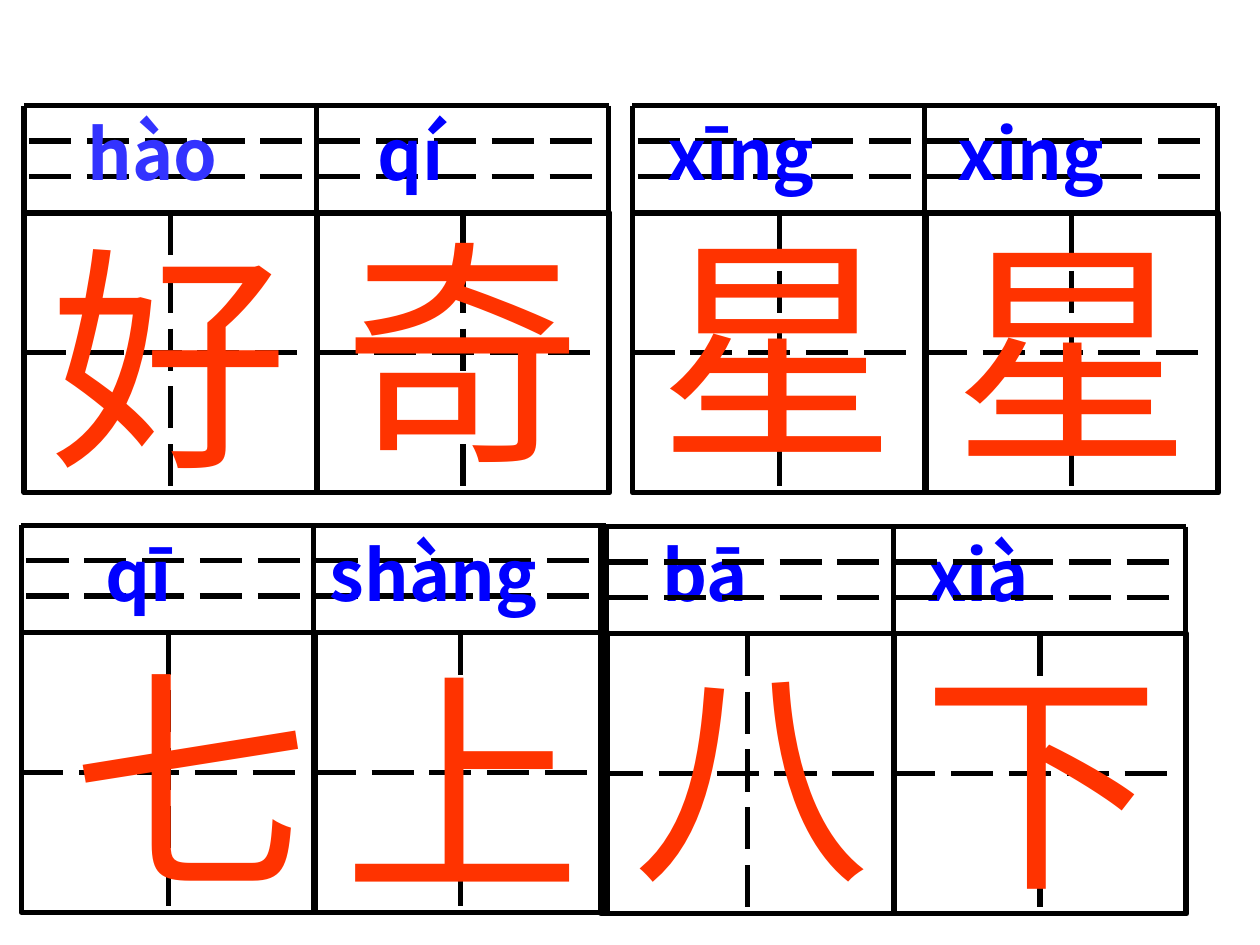
from pptx import Presentation
from pptx.dml.color import RGBColor
from pptx.enum.dml import MSO_LINE
from pptx.enum.shapes import MSO_CONNECTOR, MSO_SHAPE
from pptx.enum.text import MSO_AUTO_SIZE
from pptx.oxml.ns import qn
from pptx.util import Inches, Pt
from lxml import etree

FONT = "Noto Sans CJK SC"
HANZI = {"size": Pt(136), "name": "Arial"}
PINYIN = {"size": Pt(40), "name": FONT, "bold": True}
BLUE, VIOLET, RED, BLACK = "0000FF", "3333FF", "FF3300", "000000"
PITCH, CELL_W, CELL_H, PINYIN_H = 2.32, 2.33, 2.22, 0.85


def color(value):
    """Return the colour for a hex string."""
    return RGBColor.from_string(value)


def add_line(grp, x1, y1, x2, y2, dashed=False):
    """Draw one black line, solid or dashed."""
    c = grp.shapes.add_connector(MSO_CONNECTOR.STRAIGHT, Inches(x1), Inches(y1), Inches(x2), Inches(y2))
    c.line.color.rgb = color(BLACK)
    c.line.width = Pt(3)
    if dashed:
        c.line.dash_style = MSO_LINE.LONG_DASH
    etree.SubElement(c._element.spPr, qn("a:effectLst"))
    return c


def add_cell(grp, x, y):
    """Draw one writing square with its dashed cross."""
    sp = grp.shapes.add_shape(MSO_SHAPE.RECTANGLE, Inches(x), Inches(y), Inches(CELL_W), Inches(CELL_H))
    sp.shadow.inherit = False
    sp.fill.background()
    sp.line.color.rgb = color(BLACK)
    sp.line.width = Pt(3)
    mid_x, mid_y = x + CELL_W / 2, y + CELL_H / 2
    upright = add_line(grp, mid_x, y, mid_x, y + CELL_H, True)
    upright.begin_connect(sp, 0)
    upright.end_connect(sp, 2)
    add_line(grp, x, mid_y, x + 2.28, mid_y, True).begin_connect(sp, 1)


def add_grid(s, x, y):
    """Draw a pair of writing squares under a ruled pinyin strip."""
    grp = s.shapes.add_group_shape()
    right = x + 2 * PITCH
    for col in range(2):
        add_cell(grp, x + col * PITCH, y + PINYIN_H)
    add_line(grp, x, y, right, y)
    for dy in (0.28, 0.56):
        add_line(grp, x + 0.04, y + dy, right, y + dy, True)
    for col in range(3):
        add_line(grp, x + col * PITCH, y, x + col * PITCH, y + 3.06)


def add_box(s, x, y, w, h):
    """Add a wrapping text box and return its first paragraph."""
    tf = s.shapes.add_textbox(Inches(x), Inches(y), Inches(w), Inches(h)).text_frame
    tf.word_wrap = True
    tf.auto_size = MSO_AUTO_SIZE.SHAPE_TO_FIT_TEXT
    return tf.paragraphs[0]


def add_run(p, text, fmt, rgb):
    """Add one formatted run, with the East Asian font set."""
    r = p.add_run()
    r.text = text
    for key, value in fmt.items():
        setattr(r.font, key, value)
    r.font.color.rgb = color(rgb)
    etree.SubElement(r._r.get_or_add_rPr(), qn("a:ea")).set("typeface", FONT)


def add_hanzi(s, text, x, y):
    """Place one large character."""
    add_run(add_box(s, x, y, 2.28, 2.37), text, HANZI, RED)


def add_pinyin(s, x, y, w, syllables):
    """Write a row of syllables, each at its own tab stop."""
    p = add_box(s, x, y, w, 0.77)
    tabs = etree.SubElement(p._p.get_or_add_pPr(), qn("a:tabLst"))
    for text, pos, rgb in syllables:
        etree.SubElement(tabs, qn("a:tab"), pos=str(Inches(pos)), algn="l")
        add_run(p, "\t" + text, PINYIN, rgb)


def add_top_row(s):
    """Build the upper row of words."""
    for x in (0.19, 5.02):
        add_grid(s, x, 0.84)
    for text, x, y in (("奇", 2.63, 1.58), ("好", 0.3, 1.63), ("星", 5.13, 1.55), ("星", 7.47, 1.58)):
        add_hanzi(s, text, x, y)
    add_pinyin(s, 0.12, 0.83, 9.96, (
        ("hào", 0.48, VIOLET), ("qí", 2.78, BLUE), ("xīng", 5.08, BLUE), ("xing", 7.38, BLUE)))


def add_bottom_row(s):
    """Build the lower row of words."""
    add_grid(s, 0.17, 4.17)
    add_pinyin(s, 0, 4.17, 9.42, (
        ("qī", 0.74, BLUE), ("shàng", 2.52, BLUE), ("bā", 5.16, BLUE), ("xià", 7.26, BLUE)))
    add_grid(s, 4.77, 4.18)
    for text, x, y in (("上", 2.63, 5), ("七", 0.47, 4.97), ("八", 4.92, 4.92), ("下", 7.22, 4.97)):
        add_hanzi(s, text, x, y)


def main():
    """Build and save the slide."""
    prs = Presentation()
    prs.slide_width, prs.slide_height = Inches(10), Inches(7.5)
    s = prs.slides.add_slide(prs.slide_layouts[6])
    add_top_row(s)
    add_bottom_row(s)
    prs.save("out.pptx")


if __name__ == "__main__":
    main()
